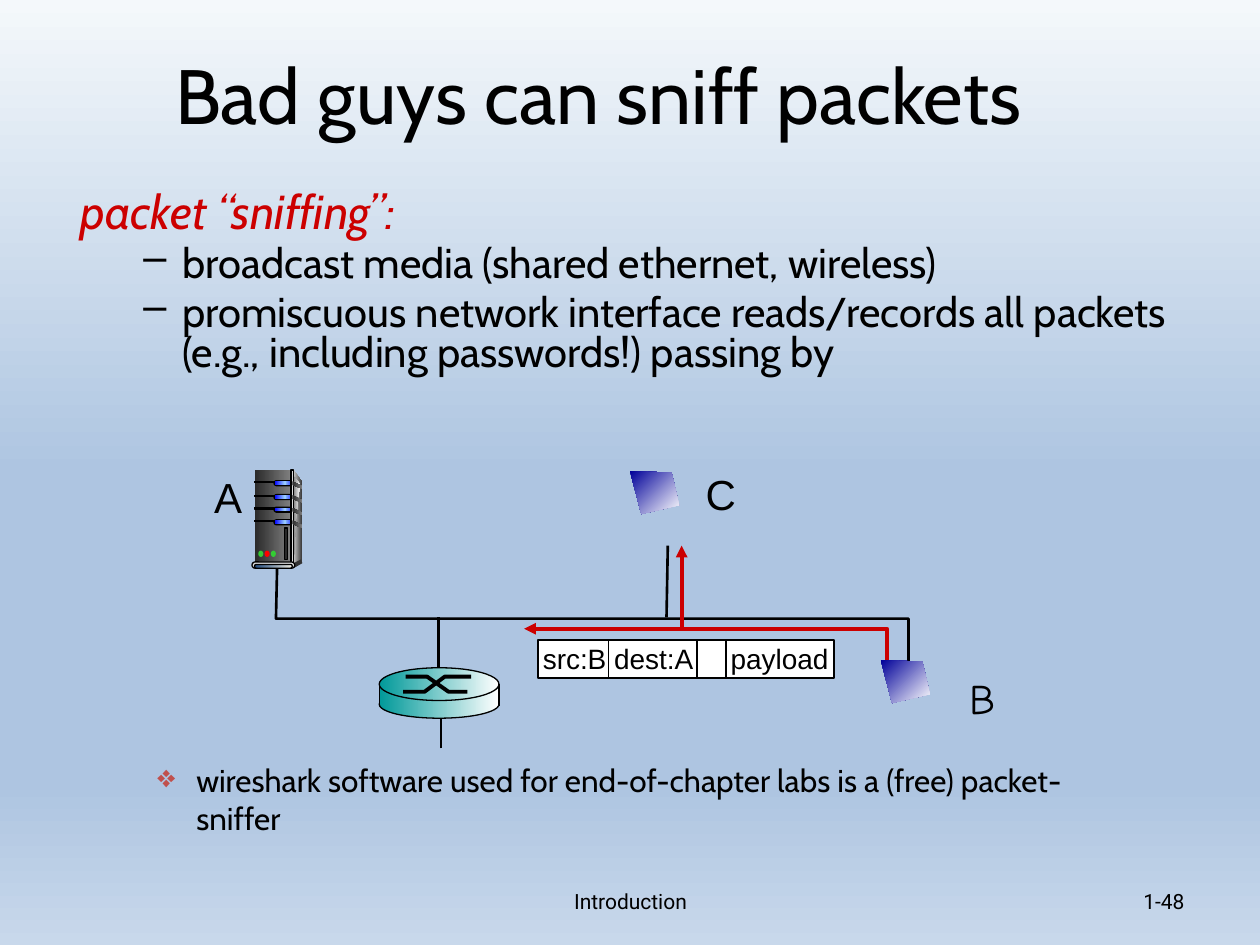
from dataclasses import dataclass

from lxml import etree
from pptx import Presentation
from pptx import util as u
from pptx.dml.color import RGBColor
from pptx.enum import shapes, text
from pptx.oxml.ns import qn

PX = u.Inches(1) // 100
KIND = shapes.MSO_SHAPE
ALIGN = text.PP_ALIGN
ANCHOR = text.MSO_ANCHOR


@dataclass(frozen=True)
class Theme:
    """Colours, fonts and type sizes of the deck."""

    ink: str = "000000"
    white: str = "FFFFFF"
    red: str = "CC0000"
    bullet: str = "C0504D"
    silver: str = "DDDDDD"
    iron: str = "333333"
    coal: str = "292929"
    sky: tuple = ((0, "F4F8FB"), (50, "AEC5E1"), (83, "AEC5E1"), (100, "C8D8EB"))
    screen: tuple = ((0, "000099"), (100, "FFFFFF"))
    teal: tuple = ((0, "009999"), (100, "FFFFFF"))
    side: tuple = ((0, "DDDDDD"), (100, "333333"))
    front: tuple = ((0, "292929"), (100, "808080"))
    sheen: tuple = ((0, "808080"), (100, "F8F8F8"))
    drive: tuple = ((0, "0000FF"), (50, "99CCFF"), (100, "0000FF"))
    rail: tuple = ((0, "333333"), (50, "DDDDDD"), (100, "333333"))
    foot: tuple = ((0, "1F497D"), (100, "EEECE1"))
    lamps: tuple = ("33CC33", "FF0000", "33CC33")
    sans: str = "Cabin"
    plain: str = "Arial"
    comic: str = "Comic Neue"
    small: str = "Roboto"
    title: float = 44
    lead: float = 27.2
    point: float = 23.8
    host: float = 24
    note: float = 18
    field: float = 16
    footer: float = 12


THEME = Theme()


def set_gradient(fill, element, stops, angle):
    """Fill an element with a linear gradient of any number of stops."""
    fill.gradient()
    gradient = element.find(".//" + qn("a:gradFill"))
    gradient.clear()
    stop_list = etree.SubElement(gradient, qn("a:gsLst"))
    for position, color in stops:
        stop = etree.SubElement(stop_list, qn("a:gs"), pos=str(position * 1000))
        etree.SubElement(stop, qn("a:srgbClr"), val=color)
    etree.SubElement(gradient, qn("a:lin"), ang=str(angle * 60000), scaled="0")


def set_line(shape, color, width, arrow=False):
    """Style an outline, with an arrowhead at its end if asked."""
    shape.line.color.rgb = RGBColor.from_string(color)
    shape.line.width = u.Pt(width)
    if arrow:
        etree.SubElement(shape.element.spPr.find(qn("a:ln")), qn("a:tailEnd"), type="triangle")


def set_font(para, name, size, color, italic=False):
    """Format every run of a paragraph."""
    for span in para.runs:
        span.font.name, span.font.size = name, u.Pt(size)
        span.font.italic = italic
        span.font.color.rgb = RGBColor.from_string(color)


def set_bullet(para, mark, color, margin=81, hang=31):
    """Give a paragraph a coloured bullet and a hanging indent."""
    props = para._p.get_or_add_pPr()
    props.set("marL", str(margin * PX))
    props.set("indent", str(-hang * PX))
    etree.SubElement(etree.SubElement(props, qn("a:buClr")), qn("a:srgbClr"), val=color)
    etree.SubElement(props, qn("a:buChar"), char=mark)


@dataclass
class Region:
    """A drawing area whose coordinates start at its own corner."""

    shapes: object
    left: int = 0
    top: int = 0

    def finish(self, shape, fill, line, width, angle=0, arrow=False):
        """Set fill and outline, and drop the shadow."""
        shape.shadow.inherit = False
        if fill is None:
            shape.fill.background()
        elif isinstance(fill, tuple):
            set_gradient(shape.fill, shape.element, fill, angle)
        else:
            shape.fill.solid()
            shape.fill.fore_color.rgb = RGBColor.from_string(fill)
        if line:
            set_line(shape, line, width, arrow)
        else:
            shape.line.fill.background()

    def shape(self, kind, x, y, width, height, fill, line=None, weight=0.75):
        """Place a preset shape; rounded ones become pills."""
        shape = self.shapes.add_shape(
            kind, (self.left + x) * PX, (self.top + y) * PX, width * PX, height * PX)
        if kind == KIND.ROUNDED_RECTANGLE:
            shape.adjustments[0] = 0.5
        self.finish(shape, fill, line, weight)

    def outline(self, points, fill=None, line=None, weight=0.75, angle=0, arrow=False):
        """Draw a closed filled outline, or an open path without fill."""
        (x, y), *rest = [(self.left + x, self.top + y) for x, y in points]
        builder = self.shapes.build_freeform(x, y, scale=PX)
        builder.add_line_segments(rest, close=fill is not None)
        self.finish(builder.convert_to_shape(), fill, line, weight, angle, arrow)

    def line(self, start, end, color=THEME.ink, weight=1.5, arrow=False):
        """Draw a straight line."""
        ends = [(corner + value) * PX for point in (start, end)
                for corner, value in zip((self.left, self.top), point)]
        connector = self.shapes.add_connector(shapes.MSO_CONNECTOR.STRAIGHT, *ends)
        set_line(connector, color, weight, arrow)
        etree.SubElement(connector.element.spPr, qn("a:effectLst"))

    def label(self, words, x, y, width, height, font, size, align=ALIGN.CENTER, anchor=ANCHOR.TOP):
        """Place a text box and return its first paragraph."""
        box = self.shapes.add_textbox(
            (self.left + x) * PX, (self.top + y) * PX, width * PX, height * PX)
        frame = box.text_frame
        frame.word_wrap, frame.vertical_anchor = True, anchor
        frame.text = words
        for para in frame.paragraphs:
            para.alignment = align
            set_font(para, font, size, THEME.ink)
        return frame.paragraphs[0], frame


def add_title(page, left, top, width, height):
    """Move and format the title placeholder."""
    title = page.shapes.title
    title.left, title.top, title.width, title.height = (
        value * PX for value in (left, top, width, height))
    title.text_frame.text = "Bad guys can sniff packets"
    title.text_frame.vertical_anchor = ANCHOR.MIDDLE
    para = title.text_frame.paragraphs[0]
    para.alignment = ALIGN.CENTER
    set_font(para, THEME.sans, THEME.title, THEME.ink)


def add_points(page, left, top, width, height):
    """Write the lead line and its dashed points."""
    words = ("packet “sniffing”:\nbroadcast media (shared ethernet, wireless)\n"
             "promiscuous network interface reads/records all packets "
             "(e.g., including passwords!) passing by")
    lead, frame = Region(page.shapes, left, top).label(
        words, 0, 0, width, height, THEME.sans, THEME.point, ALIGN.LEFT)
    set_font(lead, THEME.sans, THEME.lead, THEME.red, italic=True)
    for para in frame.paragraphs:
        para.line_spacing = 0.8
    for para in frame.paragraphs[1:]:
        para.level, para.space_before = 1, u.Pt(4.8)
        set_bullet(para, "–", THEME.ink)


def add_network(page, left, top):
    """Draw the shared wires and name the hosts."""
    region = Region(page.shapes, left, top)
    region.outline([(60, 80), (59, 124), (561, 124), (561, 160)], line=THEME.ink, weight=1.5)
    region.line((369, 123), (370, 66))
    region.line((188, 164), (188, 123))
    region.line((190, 227), (190, 201))
    for name, x, y, width, font in (("A", 0, 2, 42, THEME.plain),
                                    ("B", 599, 162, 41, THEME.comic),
                                    ("C", 390, 0, 44, THEME.plain)):
        region.label(name, x, y, width, 50, font, THEME.host)


def add_packet(page, left, top, width, height):
    """Draw the packet with its fields."""
    region = Region(page.shapes.add_group_shape().shapes, left, top)
    region.shape(KIND.RECTANGLE, 0, 0, width, height, THEME.white, THEME.ink, 1)
    for x in (56, 126, 149):
        region.line((x, 1), (x, height), weight=1)
    para, _ = region.label("src:B dest:A\tpayload", -6, -4, 251, 37,
                           THEME.plain, THEME.field, ALIGN.LEFT)
    tabs = etree.SubElement(para._p.get_or_add_pPr(), qn("a:tabLst"))
    etree.SubElement(tabs, qn("a:tab"), pos=str(149 * PX), algn="l")


def add_route(page, left, top):
    """Draw the red path of the packet and its branch to the sniffer."""
    region = Region(page.shapes, left, top)
    region.outline([(288, 92), (288, 66), (0, 66)], line=THEME.red, weight=2.25, arrow=True)
    region.line((125, 66), (125, 0), THEME.red, 2.25, arrow=True)


def add_screen(page, left, top):
    """Draw the tilted screen of a computer."""
    region = Region(page.shapes, left, top)
    region.outline([(0, 0), (33, 1), (39, 27), (9, 34)], THEME.screen, angle=45)


def add_server(page, left, top):
    """Draw the server tower."""
    region = Region(page.shapes.add_group_shape().shapes, left, top)
    region.outline([(33, 0), (40, 10), (40, 72), (32, 75)], THEME.side)
    region.shape(KIND.RECTANGLE, 2, 0, 29, 74, THEME.front)
    region.outline([(33, 5), (38, 11), (35, 38), (33, 73)], THEME.sheen)
    slots = (9, 20, 30, 40)
    for y in slots:
        region.shape(KIND.RECTANGLE, 2, y, 17, 1, THEME.ink, THEME.ink)
        region.shape(KIND.ROUNDED_RECTANGLE, 17, y - 1, 16, 5, THEME.ink)
        region.shape(KIND.ROUNDED_RECTANGLE, 18, y, 16, 3, THEME.drive)
    region.shape(KIND.RECTANGLE, 31, 0, 2, 74, THEME.rail, THEME.ink)
    for y in slots:
        region.outline([(32, y), (40, y + 4), (40, y + 6), (32, y + 3)], THEME.front)
    region.outline([(33, 74), (33, 78), (40, 74), (39, 71)], THEME.iron)
    region.shape(KIND.ROUNDED_RECTANGLE, 0, 73, 34, 5, THEME.silver, THEME.ink)
    region.shape(KIND.ROUNDED_RECTANGLE, 2, 75, 30, 3, THEME.foot, THEME.ink)
    for index, color in enumerate(THEME.lamps):
        region.shape(KIND.OVAL, 5 + 5 * index, 64, 4, 5, color)
    region.shape(KIND.RECTANGLE, 26, 46, 2, 25, THEME.coal, THEME.ink)


def add_router(page, left, top, width):
    """Draw the router disc with its crossed paths."""
    region = Region(page.shapes.add_group_shape().shapes, left, top)
    region.shape(KIND.OVAL, 0, 18, width, 22, THEME.teal, THEME.ink)
    region.shape(KIND.RECTANGLE, 0, 15, width, 14, THEME.teal)
    region.shape(KIND.OVAL, 0, 0, width, 26, THEME.teal, THEME.ink)
    for points in ([(19, 19), (36, 19), (52, 7), (73, 7)], [(21, 7), (38, 7), (55, 19), (70, 19)]):
        region.outline(points, line=THEME.ink, weight=2.25)
    for x in (0, width):
        region.line((x, 13), (x, 30), weight=0.75)


def add_note(page, left, top, width, height):
    """Write the closing note with its diamond bullet."""
    para, _ = Region(page.shapes, left, top).label(
        "wireshark software used for end-of-chapter labs is a (free) packet-sniffer",
        0, 0, width, height, THEME.sans, THEME.note, ALIGN.LEFT)
    para.level = 1
    set_bullet(para, "❖", THEME.bullet)


def add_footer(page, left, top, height):
    """Write the chapter name and the page number."""
    region = Region(page.shapes, left, top)
    for words, x, width, align in (("Introduction", 0, 317, ALIGN.CENTER),
                                   ("1-48", 375, 233, ALIGN.RIGHT)):
        region.label(words, x, 0, width, height, THEME.small, THEME.footer, align, ANCHOR.MIDDLE)


def main():
    """Build the deck and save it."""
    deck = Presentation()
    deck.slide_width, deck.slide_height = 1000 * PX, 750 * PX
    page = deck.slides.add_slide(deck.slide_layouts[5])
    set_gradient(page.background.fill, page.element, THEME.sky, 90)
    add_title(page, 50, 12, 850, 125)
    add_points(page, 54, 148, 883, 162)
    add_screen(page, 500, 374)
    add_network(page, 160, 367)
    add_packet(page, 427, 508, 235, 30)
    add_route(page, 416, 433)
    add_note(page, 65, 599, 850, 100)
    add_server(page, 200, 373)
    add_screen(page, 699, 524)
    add_router(page, 301, 530, 95)
    add_footer(page, 342, 695, 40)
    deck.save("out.pptx")


if __name__ == "__main__":
    main()
